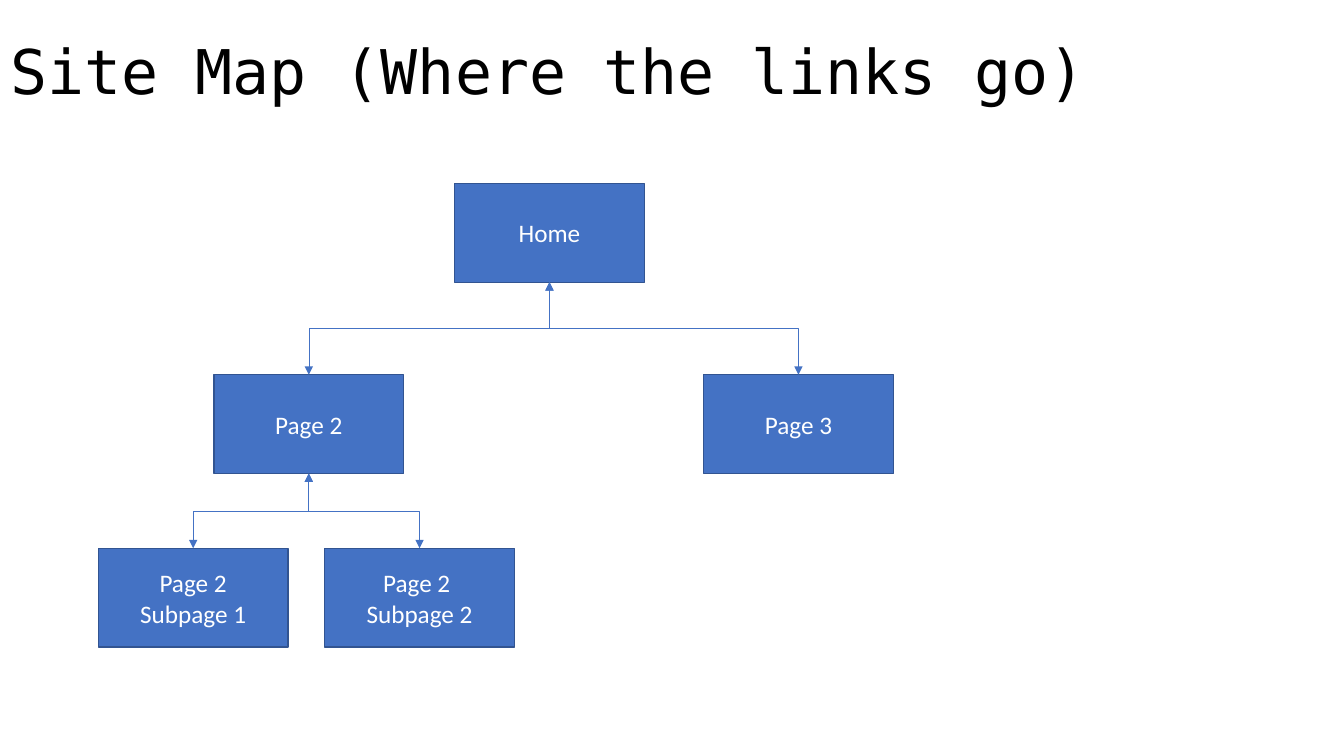
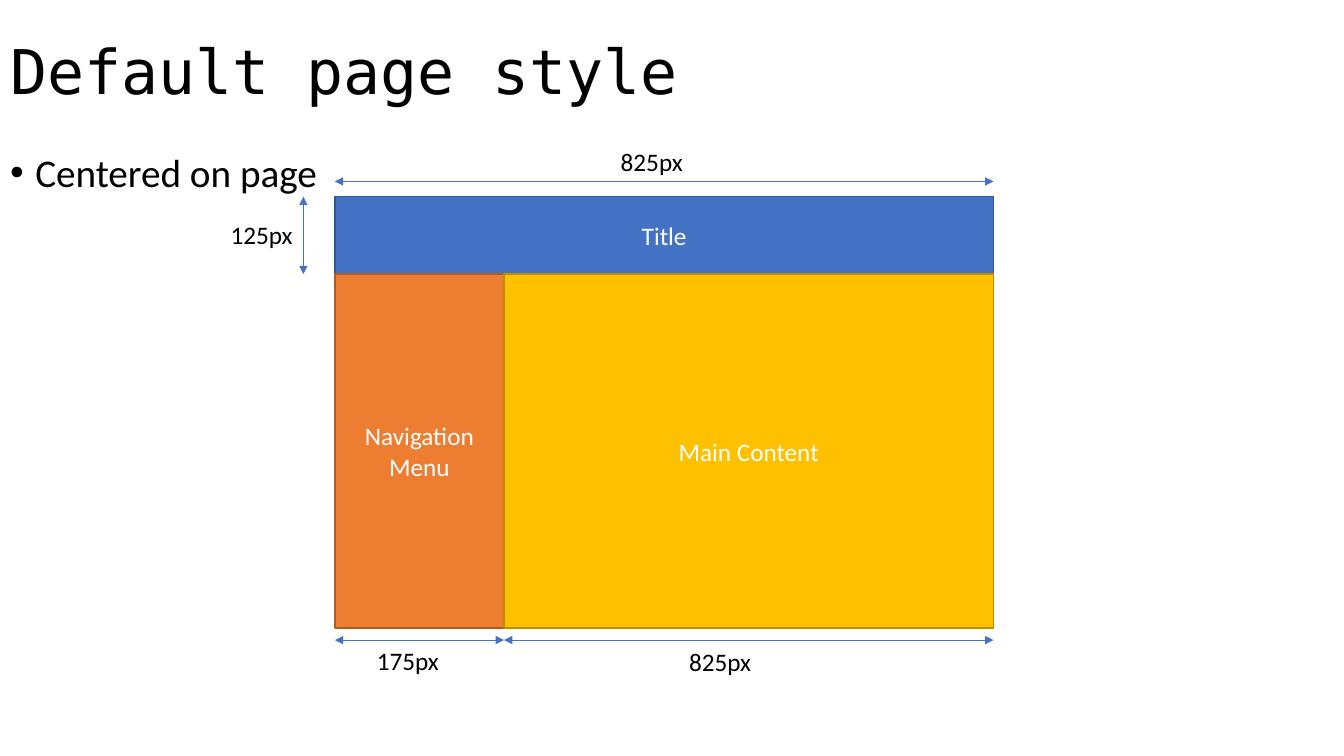
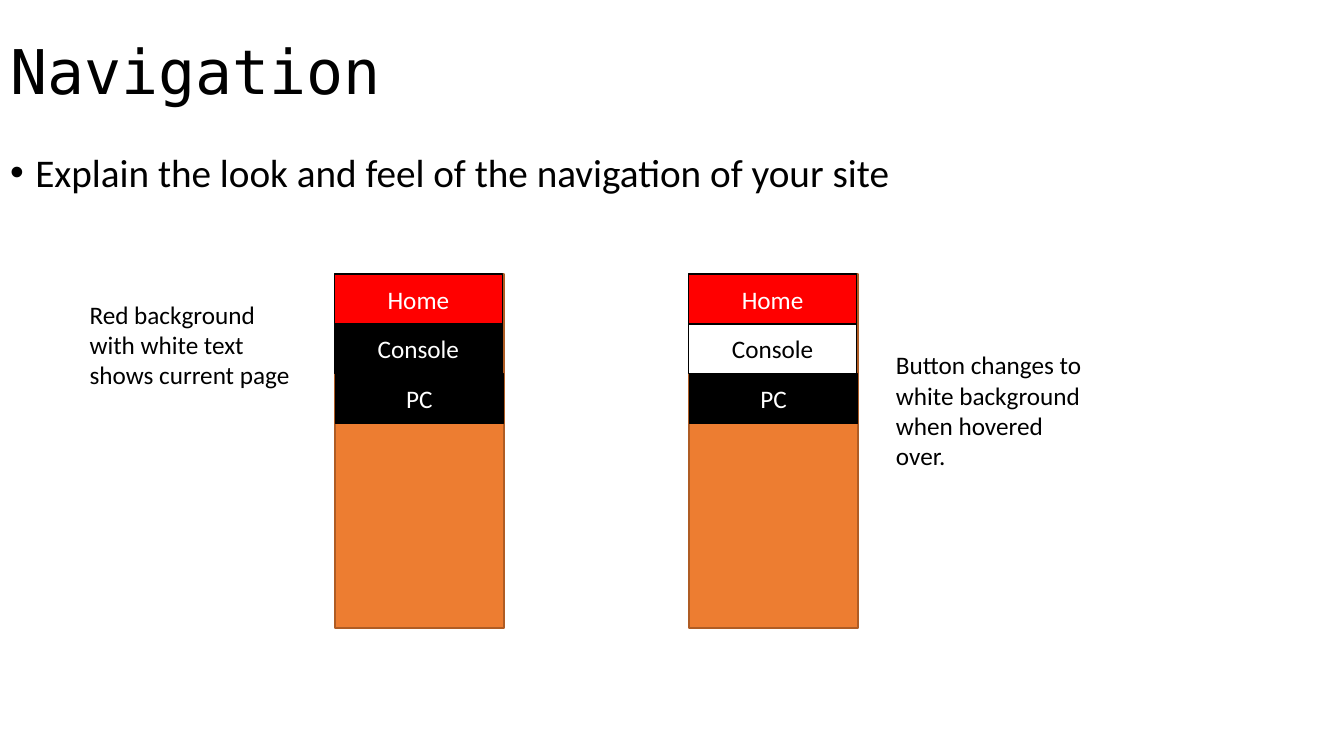
from pptx import Presentation
from pptx import util as u
from pptx.dml.color import RGBColor
from pptx.enum import shapes, text
from pptx.oxml.ns import qn
from lxml import etree

COLOURS = {
    "blue": "4472C4", "blue_edge": "325491",
    "orange": "ED7D31", "orange_edge": "AF5C24",
    "gold": "FFC000", "gold_edge": "BD8E00",
    "red": "FF0000", "black": "000000", "white": "FFFFFF",
}
TITLE_FONT = {"name": "DejaVu Sans Mono", "size": u.Pt(44)}
BODY_FONT = {"name": "Calibri", "size": u.Pt(28)}
LABEL_FONT = {"name": "Calibri", "size": u.Pt(18)}
LEFT, CENTRE = text.PP_ALIGN.LEFT, text.PP_ALIGN.CENTER
TOP, MIDDLE = text.MSO_ANCHOR.TOP, text.MSO_ANCHOR.MIDDLE
FIXED, GROW = text.MSO_AUTO_SIZE.NONE, text.MSO_AUTO_SIZE.SHAPE_TO_FIT_TEXT
TITLE_ONLY, TITLE_AND_BODY = 5, 1

BOX_W, BOX_H = 135.5, 70.6
PAGE_LEFT, NAV_RIGHT, PAGE_RIGHT = 239.2, 360, 709.6
PAGE_TOP, NAV_TOP, PAGE_BOTTOM = 140.4, 195.8, 448.6
NAV_W, NAV_H = NAV_RIGHT - PAGE_LEFT, PAGE_BOTTOM - NAV_TOP
BUTTON_W, BUTTON_H = 120.2, 35.6


def apply(obj, formats):
    for name, value in formats.items():
        setattr(obj, name, value)


def points(*values):
    return [u.Pt(v) for v in values]


def rgb(name):
    return RGBColor.from_string(COLOURS[name])


def write(sp, words, font, colour, frame, para):
    tf = sp.text_frame
    tf.text = words
    apply(tf, frame)
    for p in tf.paragraphs:
        apply(p, para)
        for r in p.runs:
            apply(r.font, font)
            r.font.color.rgb = rgb(colour)


def place(sp, left, top, width, height):
    names = ("left", "top", "width", "height")
    apply(sp, dict(zip(names, points(left, top, width, height))))


def add_slide(prs, title, bullet=None):
    layout = TITLE_AND_BODY if bullet else TITLE_ONLY
    s = prs.slides.add_slide(prs.slide_layouts[layout])
    place(s.shapes.title, 0, 1.4, 960, 104.4)
    write(s.shapes.title, title, TITLE_FONT, "black",
          {"vertical_anchor": MIDDLE, "auto_size": FIXED, "word_wrap": True},
          {"alignment": LEFT, "line_spacing": 0.9})
    if bullet:
        add_bullet(s.placeholders[1], bullet)
    return s


def add_bullet(sp, words):
    place(sp, 0, 105.8, 960, 432.7)
    write(sp, words, BODY_FONT, "black",
          {"vertical_anchor": TOP, "auto_size": FIXED, "word_wrap": True},
          {"alignment": LEFT, "line_spacing": 0.9, "space_before": u.Pt(10)})
    pPr = sp.text_frame.paragraphs[0]._p.get_or_add_pPr()
    pPr.set("marL", str(u.Pt(18)))
    pPr.set("indent", str(u.Pt(-18)))
    etree.SubElement(pPr, qn("a:buFont")).set("typeface", "Arial")
    etree.SubElement(pPr, qn("a:buChar")).set("char", "•")


def add_box(s, left, top, width, height, fill, edge, words="", colour="white"):
    sp = s.shapes.add_shape(shapes.MSO_SHAPE.RECTANGLE,
                            *points(left, top, width, height))
    sp.shadow.inherit = False
    sp.fill.solid()
    sp.fill.fore_color.rgb = rgb(fill)
    sp.line.color.rgb = rgb(edge)
    sp.line.width = u.Pt(1)
    if words:
        write(sp, words, LABEL_FONT, colour,
              {"vertical_anchor": MIDDLE, "word_wrap": True},
              {"alignment": CENTRE})


def add_label(s, left, top, width, height, words, wrap=False):
    sp = s.shapes.add_textbox(*points(left, top, width, height))
    write(sp, words, LABEL_FONT, "black",
          {"word_wrap": wrap, "auto_size": GROW}, {"alignment": LEFT})


def add_arrow(s, x1, y1, x2, y2, kind=shapes.MSO_CONNECTOR.STRAIGHT):
    line = s.shapes.add_connector(kind, *points(x1, y1, x2, y2))
    line.line.color.rgb = rgb("blue")
    line.line.width = u.Pt(0.5)
    ln = line.line._get_or_add_ln()
    for end in ("a:headEnd", "a:tailEnd"):
        etree.SubElement(ln, qn(end)).set("type", "triangle")
    etree.SubElement(line._element.spPr, qn("a:effectLst"))
    return line


def add_branch(s, x1, y1, x2, y2):
    side = 1 if x2 > x1 else -1
    mid_x, mid_y = (x1 + x2) / 2, (y1 + y2) / 2
    half_drop, half_span = (y2 - y1) / 2, abs(x2 - x1) / 2
    line = add_arrow(s, mid_x + side * half_drop, mid_y - half_span,
                     mid_x - side * half_drop, mid_y + half_span,
                     shapes.MSO_CONNECTOR.ELBOW)
    degrees = 270 if side > 0 else 90
    line._element.spPr.find(qn("a:xfrm")).set("rot", str(degrees * 60000))


def add_site_map(prs):
    s = add_slide(prs, "Site Map (Where the links go)")
    pages = {
        "home": (392.5, 131, "Home", None),
        "page2": (220.6, 267.7, "Page 2", "home"),
        "page3": (570.4, 267.7, "Page 3", "home"),
        "sub1": (138, 391.7, "Page 2\nSubpage 1", "page2"),
        "sub2": (299.7, 391.7, "Page 2 \nSubpage 2", "page2"),
    }
    for x, top, words, parent in pages.values():
        add_box(s, x - BOX_W / 2, top, BOX_W, BOX_H, "blue", "blue_edge", words)
        if parent:
            parent_x, parent_top = pages[parent][:2]
            add_branch(s, parent_x, parent_top + BOX_H, x, top)


def add_page_style(prs):
    s = add_slide(prs, "Default page style", "Centered on page")
    add_box(s, PAGE_LEFT, PAGE_TOP, PAGE_RIGHT - PAGE_LEFT, NAV_TOP - PAGE_TOP,
            "blue", "blue_edge", "Title")
    add_box(s, PAGE_LEFT, NAV_TOP, NAV_W, NAV_H,
            "orange", "orange_edge", "Navigation Menu")
    add_box(s, NAV_RIGHT, NAV_TOP, PAGE_RIGHT - NAV_RIGHT, NAV_H,
            "gold", "gold_edge", "Main Content")
    above, below, beside = 129.6, 457.2, 216.7
    for ends in ((beside, PAGE_TOP, beside, NAV_TOP),
                 (PAGE_LEFT, below, NAV_RIGHT, below),
                 (NAV_RIGHT, below, PAGE_RIGHT, below),
                 (PAGE_LEFT, above, PAGE_RIGHT, above)):
        add_arrow(s, *ends)
    for left, top, words in ((157.7, 153.4, "125px"), (262.1, 457.2, "175px"),
                             (485.1, 457.9, "825px"), (436.3, 100.6, "825px")):
        add_label(s, left, top, 59, 29.1, words)


def add_menu(s, left, console_fill, console_text):
    add_box(s, left, NAV_TOP, NAV_W, NAV_H, "orange", "orange_edge")
    buttons = (("Home", "red", "white", -0.4),
               ("Console", console_fill, console_text, -0.4),
               ("PC", "black", "white", 0.3))
    for i, (words, fill, colour, shift) in enumerate(buttons):
        add_box(s, left + shift, NAV_TOP + i * BUTTON_H, BUTTON_W, BUTTON_H,
                fill, "black", words, colour)


def add_navigation(prs):
    s = add_slide(prs, "Navigation",
                  "Explain the look and feel of the navigation of your site")
    add_menu(s, PAGE_LEFT, "black", "white")
    add_menu(s, 492.2, "white", "black")
    add_label(s, 632.9, 246.2, 157, 94.5,
              "Button changes to white background when hovered over.", True)
    add_label(s, 56.9, 210.2, 157, 94.5,
              "Red background with white text shows current page", True)


def main():
    prs = Presentation()
    apply(prs, {"slide_width": u.Pt(960), "slide_height": u.Pt(540)})
    for build in (add_site_map, add_page_style, add_navigation):
        build(prs)
    prs.save("out.pptx")


if __name__ == "__main__":
    main()
